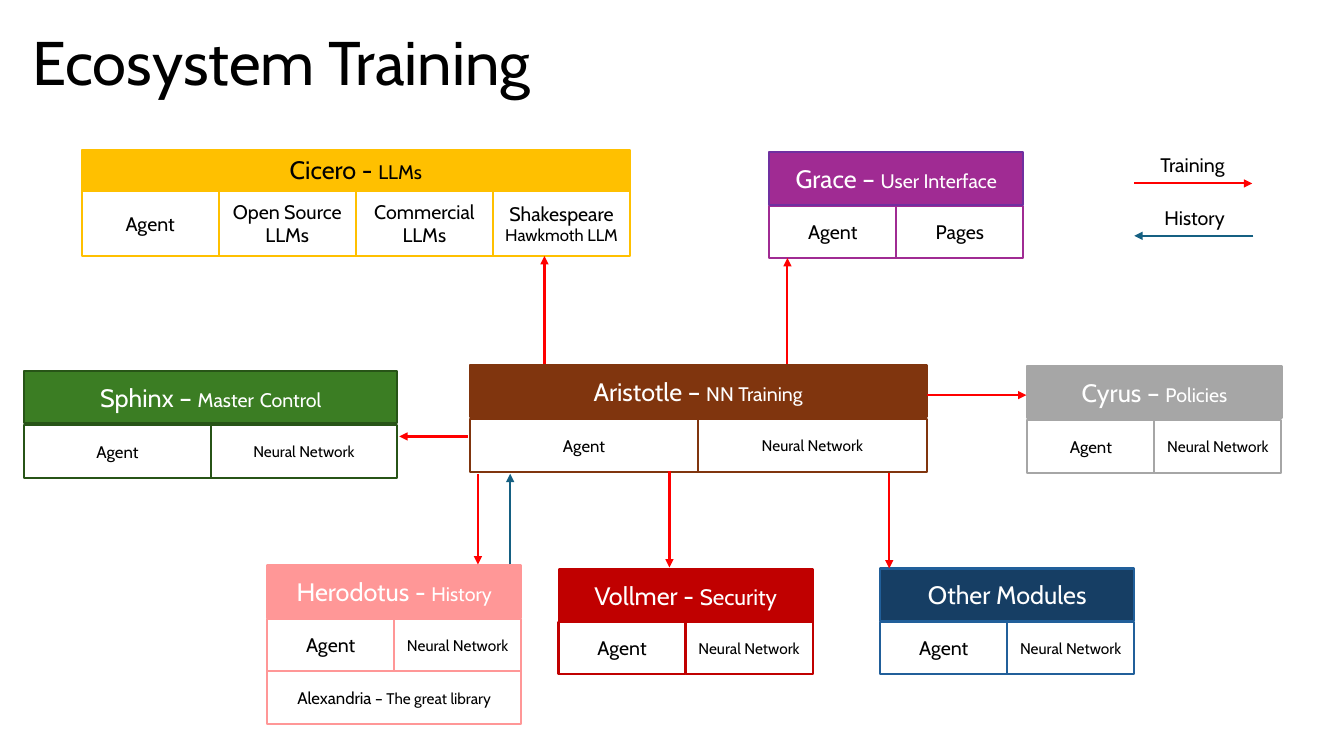
from pptx import Presentation
from pptx.dml.color import RGBColor
from pptx.enum.shapes import MSO_CONNECTOR, MSO_SHAPE
from pptx.enum.text import MSO_ANCHOR, MSO_AUTO_SIZE, PP_ALIGN
from pptx.oxml.ns import qn
from pptx.util import Pt
from lxml import etree

RECT, STRAIGHT = MSO_SHAPE.RECTANGLE, MSO_CONNECTOR.STRAIGHT
MIDDLE, TOP = MSO_ANCHOR.MIDDLE, MSO_ANCHOR.TOP
CENTER, LEFT = PP_ALIGN.CENTER, PP_ALIGN.LEFT
FIT_TEXT = MSO_AUTO_SIZE.SHAPE_TO_FIT_TEXT

PX = 9144  # 100 px to the inch
FONT = "Cabin"
LINE_PT = 1.5

BLACK = RGBColor(0x00, 0x00, 0x00)
WHITE = RGBColor(0xFF, 0xFF, 0xFF)
MAGENTA = RGBColor(0xA0, 0x2B, 0x93)
PURPLE = RGBColor(0x70, 0x30, 0xA0)
GREEN = RGBColor(0x3B, 0x7D, 0x23)
DARK_GREEN = RGBColor(0x27, 0x54, 0x17)
BROWN = RGBColor(0x80, 0x35, 0x0E)
GRAY = RGBColor(0xA6, 0xA6, 0xA6)
NAVY = RGBColor(0x16, 0x3E, 0x64)
BLUE = RGBColor(0x21, 0x5F, 0x9A)
PINK = RGBColor(0xFF, 0x97, 0x97)
GOLD = RGBColor(0xFF, 0xC0, 0x00)
CRIMSON = RGBColor(0xC0, 0x00, 0x00)
RED = RGBColor(0xFF, 0x00, 0x00)
TEAL = RGBColor(0x15, 0x60, 0x82)

# Content: each text is a list of (words, point size) runs
TITLE = [("Ecosystem Training", 44)]
AGENT, AGENT_SMALL = [("Agent", 14)], [("Agent", 12)]
NETWORK = [("Neural Network", 11)]

# x, header y, cells y, width, header height, row height,
# header fill, header line, cell line, header colour, header text, rows of cells
MODULES = [
    (763, 151, 204, 252, 52, 52, MAGENTA, PURPLE, MAGENTA, WHITE,
     [("Grace – ", 18), ("User Interface", 14)],
     [[AGENT, [("Pages", 14)]]]),
    (24, 368, 422, 370, 52, 52, GREEN, DARK_GREEN, DARK_GREEN, WHITE,
     [("Sphinx – ", 18), ("Master", 14), (" ", 18), ("Control", 14)],
     [[AGENT_SMALL, NETWORK]]),
    (466, 362, 416, 453, 52, 52, BROWN, BROWN, BROWN, WHITE,
     [("Aristotle – ", 18), ("NN Training", 14)],
     [[AGENT_SMALL, NETWORK]]),
    (1019, 363, 417, 252, 52, 52, GRAY, GRAY, GRAY, WHITE,
     [("Cyrus – ", 18), ("Policies", 14)],
     [[AGENT_SMALL, NETWORK]]),
    (873, 564, 617, 252, 52, 52, NAVY, BLUE, BLUE, WHITE,
     [("Other Modules", 18)],
     [[AGENT, NETWORK]]),
    (265, 561, 614, 252, 52, 52, PINK, PINK, PINK, WHITE,
     [("Herodotus - ", 18), ("History", 14)],
     [[AGENT, NETWORK], [[("Alexandria", 12), (" – The great library", 11)]]]),
    (81, 149, 189, 544, 39, 65, GOLD, GOLD, GOLD, BLACK,
     [("Cicero - ", 18), ("LLMs", 14)],
     [[AGENT, [("Open Source LLMs", 14)], [("Commercial LLMs", 14)],
       [("Shakespeare", 14), (" Hawkmoth LLM", 12)]]]),
    (554, 565, 617, 252, 52, 52, CRIMSON, CRIMSON, CRIMSON, WHITE,
     [("Vollmer - ", 18), ("Security", 16)],
     [[AGENT, NETWORK]]),
]

# from x, from y, to x, to y, colour
ARROWS = [
    (540, 361, 540, 254, RED),
    (781, 361, 781, 256, RED),
    (464, 433, 396, 433, RED),
    (919, 392, 1018, 392, RED),
    (664, 467, 664, 563, RED),
    (474, 470, 474, 560, RED),
    (506, 560, 506, 470, TEAL),
    (882, 469, 882, 564, RED),
    (1125, 182, 1242, 182, RED),
    (1243, 234, 1125, 234, TEAL),
]

LEGEND = [
    ((1141, 147, 86, 34), [("Training", 14)]),
    ((1145, 199, 81, 34), [("History", 14)]),
]


def px(*lengths):
    return [round(n * PX) for n in lengths]


def write(sp, runs, color, align, **frame):
    tf = sp.text_frame
    for name, value in frame.items():
        setattr(tf, name, value)
    p = tf.paragraphs[0]
    p.alignment = align
    for words, size in runs:
        r = p.add_run()
        r.text = words
        r.font.color.rgb = color
        for name, value in {"name": FONT, "size": Pt(size)}.items():
            setattr(r.font, name, value)
    return p


def add_box(s, box, fill, line, runs, color):
    sp = s.shapes.add_shape(RECT, *px(*box))
    sp.shadow.inherit = False
    sp.fill.solid()
    sp.fill.fore_color.rgb = fill
    sp.line.color.rgb = line
    sp.line.width = Pt(LINE_PT)
    write(sp, runs, color, CENTER, word_wrap=True, vertical_anchor=MIDDLE)


def add_module(s, x, y, cells_y, w, head_h, row_h,
               fill, head_line, line, head_color, head, rows):
    for i, row in enumerate(rows):
        cell_w = w / len(row)
        for j, runs in enumerate(row):
            box = (x + j * cell_w, cells_y + i * row_h, cell_w, row_h)
            add_box(s, box, WHITE, line, runs, BLACK)
    add_box(s, (x, y, w, head_h), fill, head_line, head, head_color)


def add_arrow(s, x1, y1, x2, y2, color):
    c = s.shapes.add_connector(STRAIGHT, *px(x1, y1, x2, y2))
    c.line.color.rgb = color
    c.line.width = Pt(LINE_PT)
    etree.SubElement(c.line._get_or_add_ln(), qn("a:tailEnd"), type="triangle")
    etree.SubElement(c._element.spPr, qn("a:effectLst"))


def main():
    prs = Presentation()
    prs.slide_width, prs.slide_height = px(1333, 750)
    s = prs.slides.add_slide(prs.slide_layouts[6])

    # Title
    sp = s.shapes.add_textbox(*px(22, -8, 1150, 145))
    p = write(sp, TITLE, BLACK, LEFT, word_wrap=True, vertical_anchor=MIDDLE)
    p.line_spacing = 0.9

    # Modules and the arrows between them
    for module in MODULES:
        add_module(s, *module)
    for arrow in ARROWS:
        add_arrow(s, *arrow)

    # Legend labels
    for box, runs in LEGEND:
        sp = s.shapes.add_textbox(*px(*box))
        write(sp, runs, BLACK, LEFT, word_wrap=False,
              vertical_anchor=TOP, auto_size=FIT_TEXT)

    prs.save("out.pptx")


if __name__ == "__main__":
    main()
